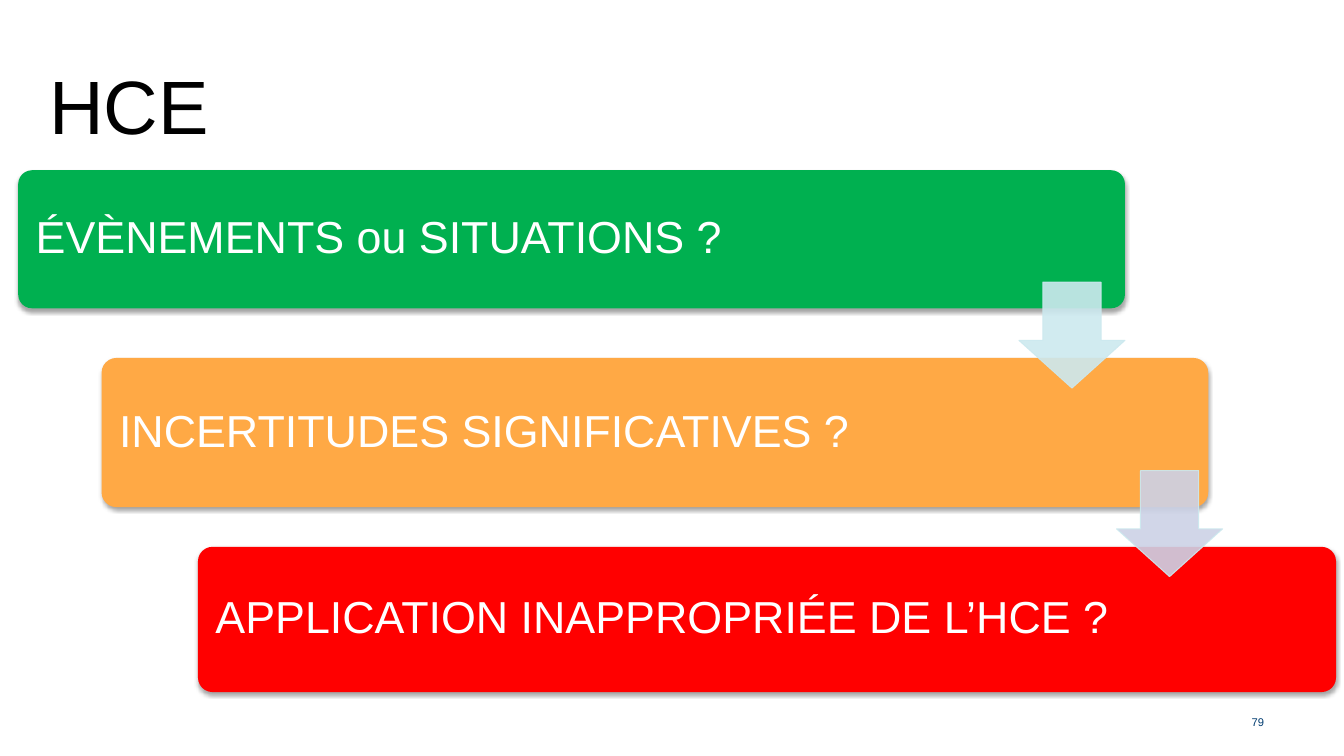
from lxml.etree import SubElement
from pptx import Presentation
from pptx.dml.color import RGBColor
from pptx.enum.shapes import MSO_SHAPE as Shape
from pptx.enum.text import MSO_ANCHOR as Anchor, PP_ALIGN as Align
from pptx.oxml.ns import qn
from pptx.util import Cm, Pt

COLORS = {
    "green": "00B050", "orange": "FFA945", "red": "FF0000",
    "aqua": "CCE9EF", "lavender": "CCD2E6",
    "white": "FFFFFF", "black": "000000", "navy": "003C71",
}
FONT = "Arial"
TITLE = "HCE"
PAGE = "79"
# question, colour, left, top, width, height, text width (cm)
STEPS = [
    ("ÉVÈNEMENTS ou SITUATIONS ?", "green", 0.46, 4.29, 27.89, 3.48, 23.5),
    ("INCERTITUDES SIGNIFICATIVES ?", "orange", 2.56, 9.02, 27.89, 3.76, 22.53),
    ("APPLICATION INAPPROPRIÉE DE L’HCE ?", "red", 4.99, 13.78, 28.68, 3.66, 23.19),
]
# colour, left, top (cm)
ARROWS = [("aqua", 25.68, 7.11), ("lavender", 28.14, 11.86)]
ARROW_SIZE = 2.67
CORNER = 0.1
TEXT_INSET = 0.11
MARGIN = 0.33


def rgb(name):
    return RGBColor.from_string(COLORS[name])


def set_alpha(color_format_owner, percent):
    """Set the opacity of the solid fill found in an XML element."""
    color = color_format_owner.find(qn("a:solidFill")).find(qn("a:srgbClr"))
    SubElement(color, qn("a:alpha"), val=str(percent * 1000))


def add_text(slide, text, box, size, color, anchor=Anchor.TOP, align=Align.LEFT):
    frame = slide.shapes.add_textbox(*map(Cm, box)).text_frame
    frame.word_wrap = True
    frame.vertical_anchor = anchor
    paragraph = frame.paragraphs[0]
    paragraph.alignment = align
    run = paragraph.add_run()
    run.text = text
    run.font.name = FONT
    run.font.size = Pt(size)
    run.font.color.rgb = rgb(color)
    return frame


def add_step(slide, question, color, left, top, width, height, text_width):
    bar = slide.shapes.add_shape(
        Shape.ROUNDED_RECTANGLE, *map(Cm, (left, top, width, height)))
    bar.adjustments[0] = CORNER
    bar.fill.solid()
    bar.fill.fore_color.rgb = rgb(color)
    bar.line.fill.background()
    bar.shadow.inherit = False
    effects = bar._element.spPr.find(qn("a:effectLst"))
    shadow = SubElement(effects, qn("a:outerShdw"), blurRad=str(Pt(3.1)),
                        dist=str(Pt(1.8)), dir="5400000", rotWithShape="0")
    shade = SubElement(shadow, qn("a:srgbClr"), val=COLORS["black"])
    SubElement(shade, qn("a:alpha"), val="35000")

    box = (left + TEXT_INSET, top + TEXT_INSET, text_width, height - 2 * TEXT_INSET)
    frame = add_text(slide, question, box, 32, "white", Anchor.MIDDLE)
    frame.margin_left = frame.margin_right = Cm(MARGIN)
    frame.margin_top = frame.margin_bottom = Cm(MARGIN)
    frame.paragraphs[0].line_spacing = 0.9


def add_arrow(slide, color, left, top):
    arrow = slide.shapes.add_shape(
        Shape.DOWN_ARROW, *map(Cm, (left, top, ARROW_SIZE, ARROW_SIZE)))
    arrow.adjustments[0] = 0.55
    arrow.adjustments[1] = 0.45
    arrow.fill.solid()
    arrow.fill.fore_color.rgb = rgb(color)
    arrow.line.color.rgb = rgb("aqua")
    arrow.line.width = Pt(0.75)
    arrow.shadow.inherit = False
    properties = arrow._element.spPr
    for painted in (properties, properties.find(qn("a:ln"))):
        set_alpha(painted, 90)


def main():
    deck = Presentation()
    deck.slide_width, deck.slide_height = Cm(33.87), Cm(19.05)
    slide = deck.slides.add_slide(deck.slide_layouts[6])
    for step in STEPS:
        add_step(slide, *step)
    for arrow in ARROWS:
        add_arrow(slide, *arrow)
    add_text(slide, TITLE, (0.99, 1.37, 8.2, 2.62), 54, "black")
    add_text(slide, PAGE, (30.38, 17.96, 1.73, 0.46), 8, "navy",
             Anchor.MIDDLE, Align.RIGHT)
    deck.save("out.pptx")


if __name__ == "__main__":
    main()
